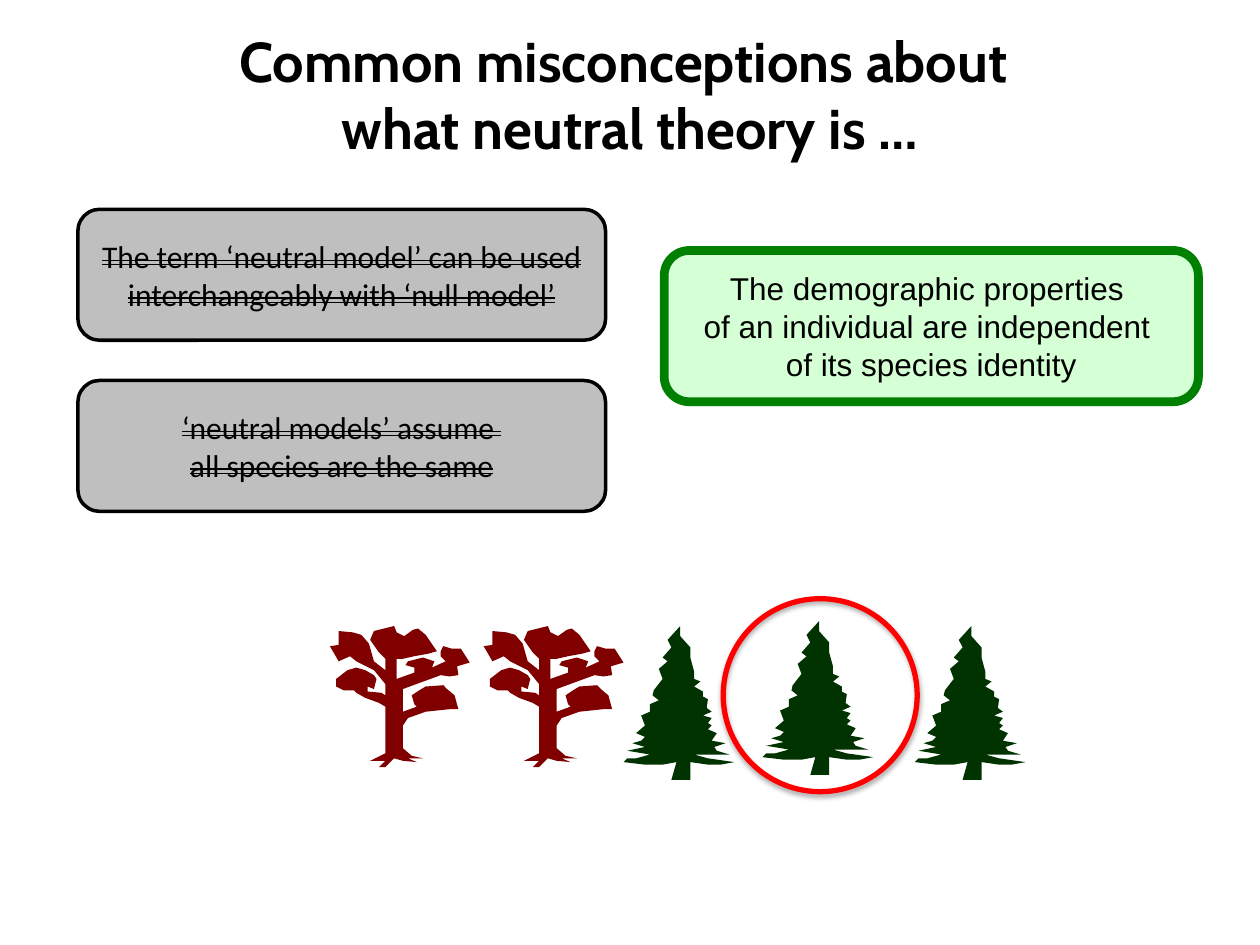
"""Build the slide on common misconceptions about neutral theory."""
from lxml import etree
from pptx import Presentation
from pptx.dml.color import RGBColor
from pptx.enum.shapes import MSO_SHAPE
from pptx.enum.text import MSO_ANCHOR, PP_ALIGN
from pptx.oxml.ns import qn
from pptx.util import Cm, Pt

ROUNDED, OVAL = MSO_SHAPE.ROUNDED_RECTANGLE, MSO_SHAPE.OVAL
CENTER, MIDDLE, TOP = PP_ALIGN.CENTER, MSO_ANCHOR.MIDDLE, MSO_ANCHOR.TOP

COLORS = {
    "text": "000000",
    "rejected": "BFBFBF",
    "accepted": "CCFFCC",
    "accepted_edge": "008000",
    "broadleaf": "800000",
    "conifer": "003300",
    "ring": "FF0000",
}
TITLE_FONT = {"name": "Cabin", "size": Pt(32), "bold": True}
REJECTED_FONT = {"name": "Calibri", "size": Pt(18)}
ACCEPTED_FONT = {"name": "Arial", "size": Pt(18)}

BROADLEAF = [
    (32, 107), (44, 101), (44, 64), (39, 61), (28, 57), (21, 53), (19, 51), (11, 51),
    (5, 48), (5, 42), (14, 35), (21, 33), (28, 35), (35, 39), (37, 42), (35, 50),
    (30, 48), (30, 52), (41, 53), (44, 55), (44, 46), (35, 35), (21, 28), (16, 24),
    (7, 28), (0, 16), (7, 15), (7, 4), (18, 5), (25, 7), (31, 14), (35, 28),
    (44, 35), (44, 26), (39, 21), (32, 11), (35, 4), (51, 0), (53, 5), (59, 8),
    (66, 3), (70, 2), (76, 7), (85, 20), (78, 22), (67, 24), (58, 26), (53, 26),
    (53, 42), (67, 37), (67, 33), (60, 31), (62, 28), (74, 25), (83, 28), (81, 33),
    (92, 28), (88, 24), (88, 20), (90, 16), (97, 18), (104, 18), (111, 29), (101, 32),
    (102, 39), (95, 40), (88, 39), (58, 50), (58, 68), (69, 64), (67, 62), (65, 55),
    (71, 51), (76, 48), (90, 47), (93, 50), (99, 55), (102, 66), (95, 66), (76, 68),
    (62, 73), (58, 79), (58, 97), (65, 103), (74, 105), (62, 105), (69, 108), (58, 107),
    (51, 105), (44, 112), (39, 112), (44, 107),
]
CONIFER = [
    (45, 0), (35, 11), (38, 17), (31, 25), (35, 28), (28, 34), (31, 42), (24, 51),
    (23, 55), (28, 59), (21, 62), (21, 68), (14, 71), (17, 79), (10, 85), (17, 88),
    (14, 91), (7, 93), (17, 96), (3, 99), (21, 102), (10, 105), (3, 105), (0, 108),
    (17, 110), (31, 110), (42, 108), (38, 122), (53, 122), (53, 108), (67, 110), (77, 110),
    (88, 108), (67, 105), (56, 102), (84, 102), (74, 99), (72, 96), (81, 93), (70, 91),
    (74, 85), (67, 82), (70, 79), (67, 77), (70, 73), (63, 71), (70, 68), (66, 65),
    (67, 58), (63, 56), (63, 52), (56, 48), (61, 44), (56, 42), (56, 36), (53, 25),
    (53, 17), (45, 8),
]


class Painter:
    """Hold the style and the current slide, and draw each kind of element."""

    def __init__(self, slide, colors):
        self.shapes = slide.shapes
        self.colors = colors

    def color(self, key):
        return RGBColor.from_string(self.colors[key])

    def fill_text(self, frame, lines, font, anchor, strike=False):
        frame.word_wrap = True
        frame.vertical_anchor = anchor
        for index, line in enumerate(lines):
            paragraph = frame.add_paragraph() if index else frame.paragraphs[0]
            paragraph.alignment = CENTER
            run = paragraph.add_run()
            run.text = line
            for key, value in font.items():
                setattr(run.font, key, value)
            run.font.color.rgb = self.color("text")
            if strike:
                run.font._element.set("strike", "dblStrike")

    def title(self, box, lines):
        heading = self.shapes.add_textbox(*map(Cm, box))
        self.fill_text(heading.text_frame, lines, TITLE_FONT, TOP)

    def outline(self, preset, box, edge, width):
        figure = self.shapes.add_shape(preset, *map(Cm, box))
        figure.shadow.inherit = False
        figure.line.color.rgb = self.color(edge)
        figure.line.width = Pt(width)
        return figure

    def statement(self, box, lines, fill, edge, width, font, strike=False, opacity=100):
        card = self.outline(ROUNDED, box, edge, width)
        card.fill.solid()
        card.fill.fore_color.rgb = self.color(fill)
        if opacity < 100:
            tint = card._element.spPr.find(qn("a:solidFill"))[0]
            etree.SubElement(tint, qn("a:alpha"), val=str(opacity * 1000))
        self.fill_text(card.text_frame, lines, font, MIDDLE, strike)

    def ring(self, box):
        circle = self.outline(OVAL, box, "ring", 3)
        circle.fill.background()
        effects = circle._element.spPr.find(qn("a:effectLst"))
        shadow = etree.SubElement(
            effects, qn("a:outerShdw"), blurRad=str(int(Pt(3.1))), dist=str(int(Pt(1.8))),
            dir="5400000", rotWithShape="0")
        shade = etree.SubElement(shadow, qn("a:srgbClr"), val=self.colors["text"])
        etree.SubElement(shade, qn("a:alpha"), val="35000")

    def tree(self, left, top, points, fill):
        builder = self.shapes.build_freeform(*points[0], scale=Cm(2.54) / 100)
        builder.add_line_segments(points[1:], close=True)
        silhouette = builder.convert_to_shape(Cm(left), Cm(top))
        silhouette.shadow.inherit = False
        silhouette.fill.solid()
        silhouette.fill.fore_color.rgb = self.color(fill)
        silhouette.line.fill.background()


def main():
    deck = Presentation()
    deck.slide_width, deck.slide_height = Cm(25.4), Cm(19.05)
    painter = Painter(deck.slides.add_slide(deck.slide_layouts[6]), COLORS)

    painter.title((0, 0.41, 25.4, 4.7),
                  ["Common misconceptions about ", "what neutral theory is …"])

    misconceptions = [
        ["The term ‘neutral model’ can be used interchangeably with ‘null model’"],
        ["‘neutral models’ assume ", "all species are the same"],
    ]
    for row, lines in enumerate(misconceptions):
        painter.statement((1.57, 4.22 + 3.45 * row, 10.64, 2.64), lines,
                          "rejected", "text", 2, REJECTED_FONT, strike=True)

    painter.statement(
        (13.39, 5.05, 10.77, 3.05),
        ["The demographic properties ", "of an individual are independent ",
         "of its species identity"],
        "accepted", "accepted_edge", 5, ACCEPTED_FONT, opacity=82)

    for left in (6.65, 9.75):
        painter.tree(left, 12.62, BROADLEAF, "broadleaf")
    painter.ring((14.58, 12.07, 3.91, 3.89))
    for left, top in ((12.57, 12.62), (15.37, 12.52), (18.44, 12.62)):
        painter.tree(left, top, CONIFER, "conifer")

    deck.save("out.pptx")


if __name__ == "__main__":
    main()
